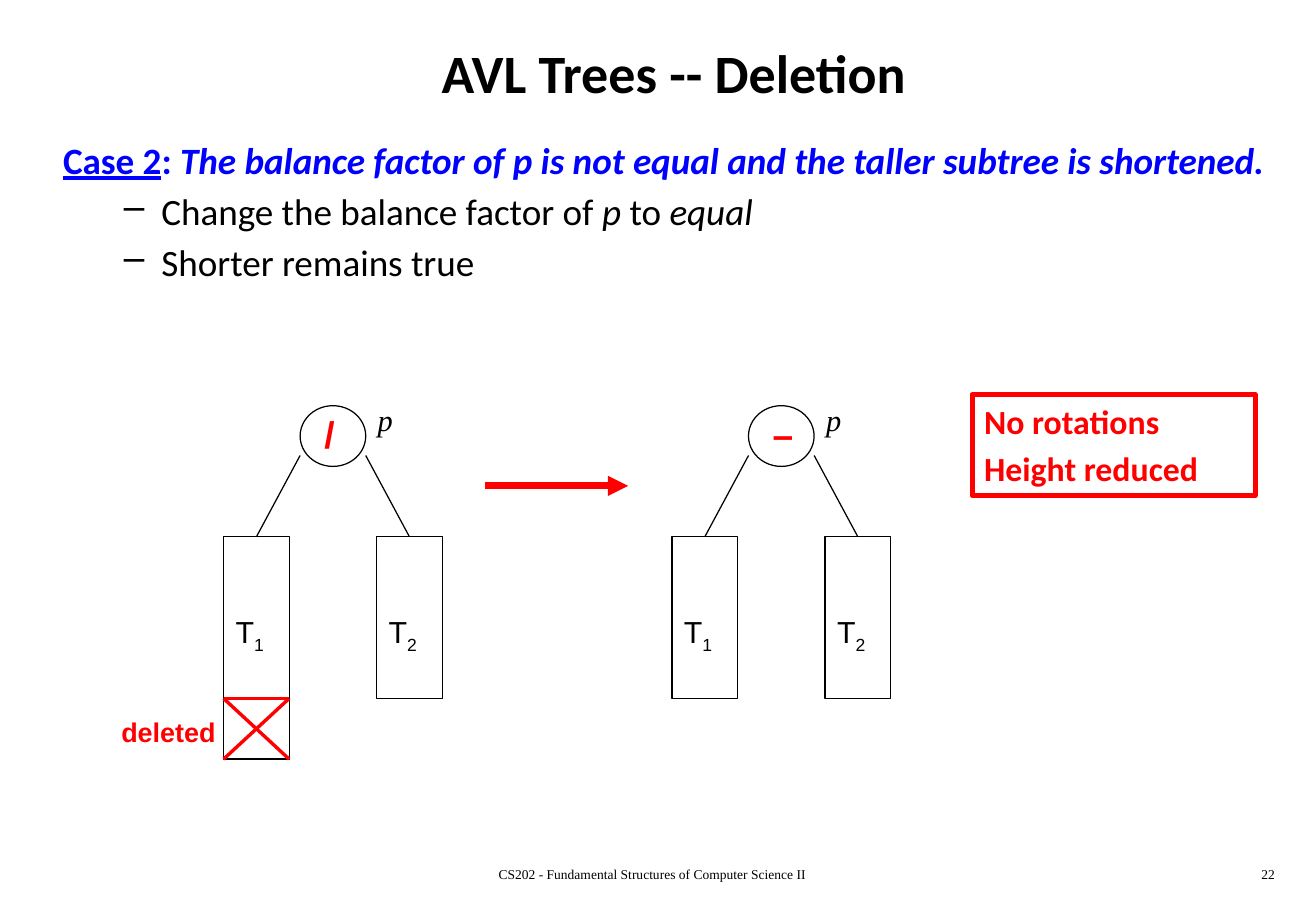
from dataclasses import dataclass

from lxml import etree
from pptx import Presentation
from pptx import util as u
from pptx.dml.color import RGBColor
from pptx.enum import shapes, text
from pptx.oxml import ns

PX = 9144  # one px is a hundredth of an inch
BLACK = RGBColor(0, 0, 0)
BLUE = RGBColor(0, 0, 255)
RED = RGBColor(255, 0, 0)
SHAPE = shapes.MSO_SHAPE
ALIGN = text.PP_ALIGN

# Tree geometry
NODE_WIDTH, NODE_HEIGHT, NODE_TOP = 54, 50, 334
SUBTREE_OFFSET, SUBTREE_TOP, SUBTREE_HEIGHT = 63, 442, 133
SHORT_BOTTOM = SUBTREE_TOP + SUBTREE_HEIGHT
DELETED_HEIGHT = 50


@dataclass(frozen=True)
class Style:
    size: int
    font: str
    color: RGBColor = BLACK
    bold: bool = False
    italic: bool = False
    underline: bool = False
    subscript: bool = False


@dataclass(frozen=True)
class Line:
    runs: tuple[tuple[str, Style], ...]
    align: ALIGN = ALIGN.LEFT
    margin: int = 0
    hanging: int = 0
    bullet: str = ""
    space_before: int = 0


@dataclass(frozen=True)
class Tree:
    left: int
    balance: str
    deleted: bool


HEADING = Style(32, "Calibri", bold=True)
CASE = Style(22, "Calibri", BLUE, bold=True)
CASE_NAME = Style(22, "Calibri", BLUE, bold=True, underline=True)
CASE_RULE = Style(22, "Calibri", BLUE, bold=True, italic=True)
STEP = Style(22, "Calibri")
STEP_ITALIC = Style(22, "Calibri", italic=True)
FOOTER = Style(8, "Times New Roman")
BALANCE = Style(22, "Arial", RED, bold=True)
NODE_NAME = Style(18, "Times New Roman", italic=True)
SUBTREE = Style(18, "Arial")
SUBTREE_INDEX = Style(18, "Arial", subscript=True)
DELETED = Style(16, "Arial", RED, bold=True)
RESULT = Style(20, "Calibri", RED, bold=True)

TREES = (Tree(247, "/", True), Tree(616, "–", False))


def px(*lengths: int) -> list[u.Emu]:
    return [u.Emu(length * PX) for length in lengths]


def write(frame, lines: tuple[Line, ...]) -> None:
    frame.word_wrap = True
    for index, line in enumerate(lines):
        paragraph = frame.add_paragraph() if index else frame.paragraphs[0]
        paragraph.alignment = line.align
        paragraph.space_before = u.Pt(line.space_before)
        properties = paragraph._p.get_or_add_pPr()
        properties.set("marL", str(line.margin * PX))
        properties.set("indent", str(-line.hanging * PX))
        if line.bullet:
            paragraph.level = 1
            etree.SubElement(properties, ns.qn("a:buChar"), char=line.bullet)
        for words, style in line.runs:
            run = paragraph.add_run()
            run.text = words
            run.font.size = u.Pt(style.size)
            run.font.name = style.font
            run.font.color.rgb = style.color
            run.font.bold = style.bold
            run.font.italic = style.italic
            run.font.underline = style.underline
            if style.subscript:
                run.font._element.set("baseline", "-25000")


def add_text(slide, left: int, top: int, width: int, height: int, *lines: Line):
    box = slide.shapes.add_textbox(*px(left, top, width, height))
    write(box.text_frame, lines)
    return box


def add_outline(slide, kind: SHAPE, left: int, top: int, width: int, height: int,
                color: RGBColor = BLACK, weight: float = 0.75):
    shape = slide.shapes.add_shape(kind, *px(left, top, width, height))
    shape.shadow.inherit = False
    shape.fill.background()
    shape.line.color.rgb = color
    shape.line.width = u.Pt(weight)
    return shape


def add_line(slide, x1: int, y1: int, x2: int, y2: int,
             color: RGBColor = BLACK, weight: float = 0.75):
    connector = slide.shapes.add_connector(
        shapes.MSO_CONNECTOR.STRAIGHT, *px(x1, y1, x2, y2))
    connector.line.color.rgb = color
    connector.line.width = u.Pt(weight)
    etree.SubElement(connector._element.spPr, ns.qn("a:effectLst"))
    return connector


def add_tree(slide, tree: Tree) -> None:
    # Root node with its balance factor and name
    right = tree.left + NODE_WIDTH
    add_outline(slide, SHAPE.OVAL, tree.left, NODE_TOP, NODE_WIDTH, NODE_HEIGHT)
    add_text(slide, tree.left + 10, NODE_TOP, 45, 47, Line(((tree.balance, BALANCE),)))
    add_text(slide, right, 325, 63, 40, Line((("p", NODE_NAME),)))

    # Subtrees, each joined to one side of the root
    for index, side, edge_x in (("1", -1, tree.left), ("2", 1, right)):
        left = tree.left + side * SUBTREE_OFFSET
        extra = DELETED_HEIGHT if tree.deleted and side < 0 else 0
        subtree = add_outline(slide, SHAPE.RECTANGLE, left, SUBTREE_TOP,
                              NODE_WIDTH, SUBTREE_HEIGHT + extra)
        edge = add_line(slide, edge_x, 375, left + NODE_WIDTH // 2, SUBTREE_TOP)
        edge.end_connect(subtree, 0)
        add_text(slide, left, 500, NODE_WIDTH, 40,
                 Line((("T", SUBTREE), (index, SUBTREE_INDEX))))

    # Crossed-out level of the first subtree
    if tree.deleted:
        left = tree.left - SUBTREE_OFFSET
        end, bottom = left + NODE_WIDTH, SHORT_BOTTOM + DELETED_HEIGHT
        for x1, x2, y2 in ((left, end, SHORT_BOTTOM), (left, end, bottom),
                           (end, left, bottom)):
            add_line(slide, x1, SHORT_BOTTOM, x2, y2, RED, 2)
        add_text(slide, 90, 584, 126, 37, Line((("deleted", DELETED),)))


def main() -> None:
    presentation = Presentation()
    presentation.slide_width, presentation.slide_height = px(1083, 750)
    slide = presentation.slides.add_slide(presentation.slide_layouts[6])

    # Title and case description
    title = add_text(slide, 42, 17, 1025, 84,
                     Line((("AVL Trees -- Deletion", HEADING),), ALIGN.CENTER))
    title.text_frame.vertical_anchor = text.MSO_ANCHOR.MIDDLE
    case = (("Case 2", CASE_NAME), (": ", CASE),
            ("The balance factor of p is not equal and the taller subtree is shortened.",
             CASE_RULE))
    steps = (
        (("Change the balance factor of ", STEP), ("p ", STEP_ITALIC),
         ("to ", STEP), ("equal", STEP_ITALIC)),
        (("Shorter remains true", STEP),),
    )
    add_text(slide, 42, 108, 1042, 158, Line(case, margin=38, hanging=38),
             *(Line(step, margin=81, hanging=31, bullet="–", space_before=4)
               for step in steps))

    # Footer
    add_text(slide, 334, 708, 406, 25, Line(
        (("CS202 - Fundamental Structures of Computer Science II", FOOTER),), ALIGN.CENTER))
    add_text(slide, 833, 708, 226, 25, Line((("22", FOOTER),), ALIGN.RIGHT))

    # Trees before and after, with the arrow between them
    for tree in TREES:
        add_tree(slide, tree)
    arrow = add_line(slide, 399, 400, 517, 400, RED, 4)
    etree.SubElement(arrow.line._get_or_add_ln(), ns.qn("a:tailEnd"), type="triangle")

    # Result
    result = add_outline(slide, SHAPE.RECTANGLE, 800, 325, 233, 83, RED, 3)
    result.text_frame.vertical_anchor = text.MSO_ANCHOR.TOP
    write(result.text_frame, tuple(
        Line(((words, RESULT),), margin=38, hanging=38, space_before=space)
        for words, space in (("No rotations", 0), ("Height reduced", 4))))

    presentation.save("out.pptx")


if __name__ == "__main__":
    main()
